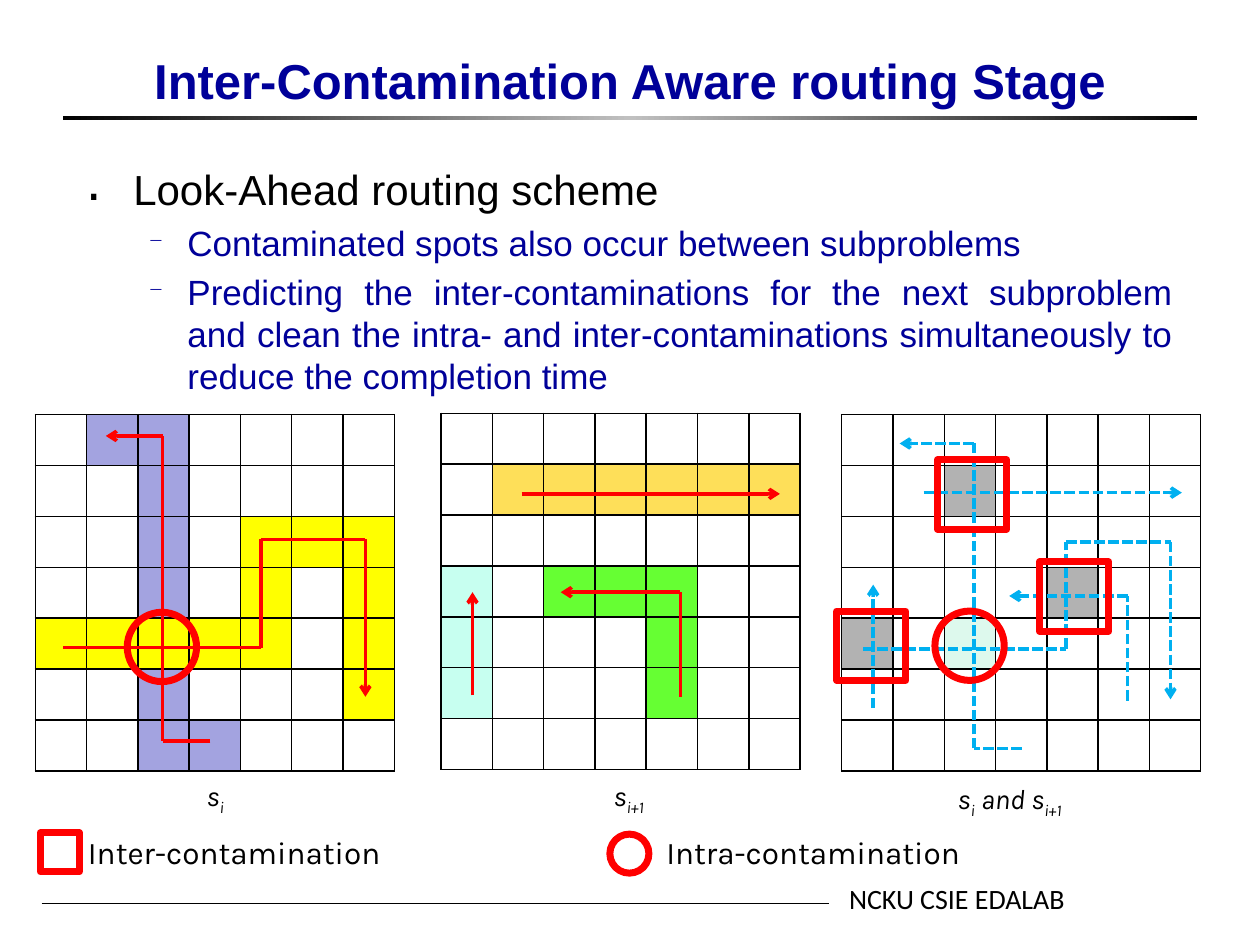
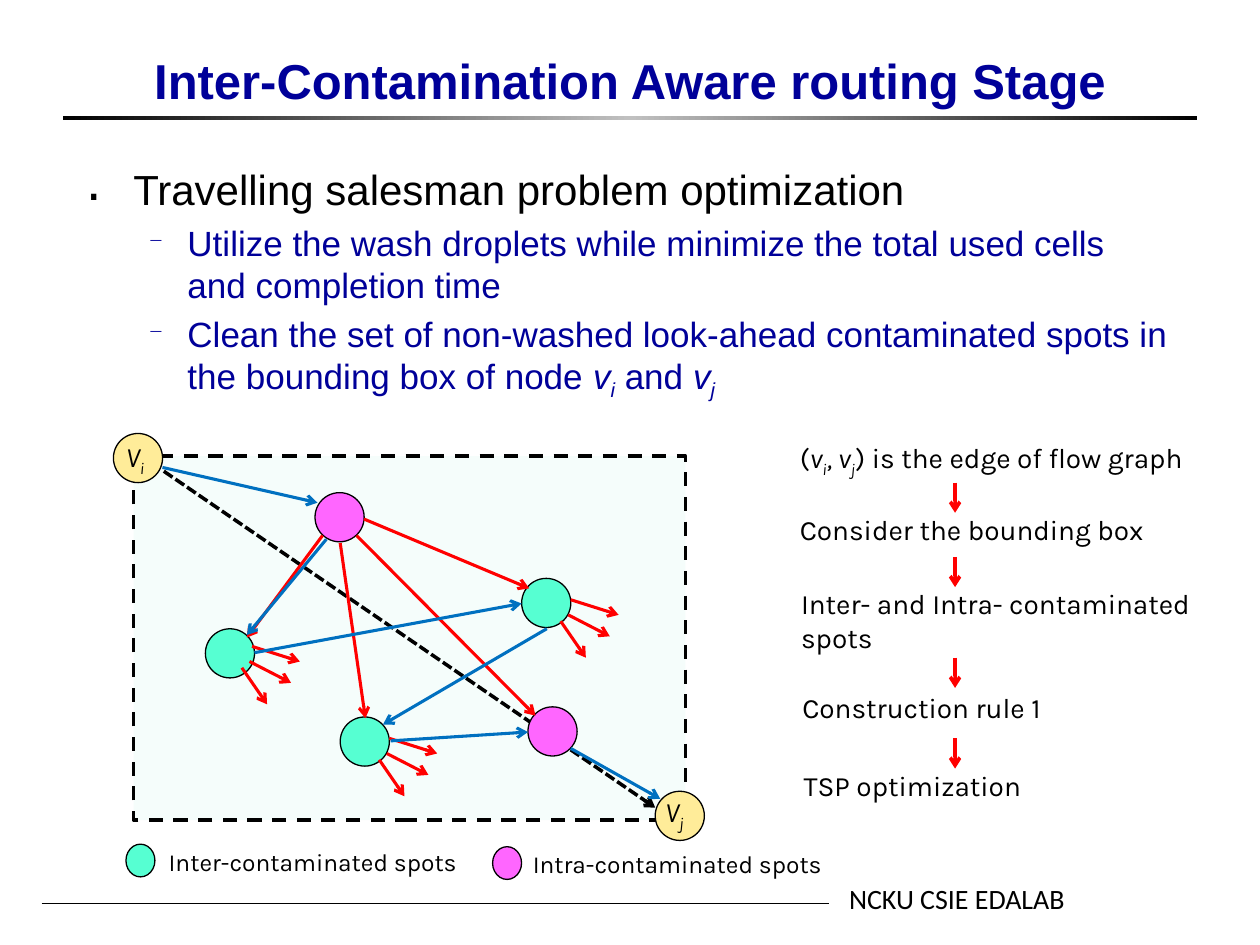
"""Builds two slides on inter-contamination aware droplet routing."""
from itertools import pairwise

from lxml.etree import SubElement
from pptx import Presentation
from pptx.dml.color import RGBColor
from pptx.enum.dml import MSO_LINE
from pptx.enum.shapes import MSO_CONNECTOR, MSO_SHAPE
from pptx.enum.text import MSO_ANCHOR, PP_ALIGN
from pptx.oxml import parse_xml
from pptx.oxml.ns import nsdecls, qn
from pptx.util import Inches, Pt

BLACK, NAVY, RED, CYAN, BLUE = "000000", "000099", "FF0000", "00B0F0", "0070C0"
GREEN, PINK, CREAM, BOX = "56FFD2", "FF66FF", "FFEC99", "00E4A8"
RECT, OVAL = MSO_SHAPE.RECTANGLE, MSO_SHAPE.OVAL
DASH, SHORT_DASH = MSO_LINE.DASH, MSO_LINE.SQUARE_DOT

TITLE = "Inter-Contamination Aware routing Stage"
FOOTER = "NCKU CSIE EDALAB"
ITALIC, SUB = "italic", "subscript"

LOOK_AHEAD = [
    "Look-Ahead routing scheme",
    "Contaminated spots also occur between subproblems",
    "Predicting the inter-contaminations for the next subproblem and clean the "
    "intra- and inter-contaminations simultaneously to reduce the completion time",
]
SALESMAN = [
    "Travelling salesman problem optimization",
    "Utilize the wash droplets while minimize the total used cells and completion time",
    [("Clean the set of non-washed look-ahead contaminated spots in the bounding box of node ", ""),
     ("v", ITALIC), ("i", SUB), (" and ", ""), ("v", ITALIC), ("j", SUB)],
]

CELL_COLORS = {".": "FFFFFF", "V": "A3A3E0", "Y": "FFFF00", "O": "FEDF59",
               "A": "C7FFF0", "G": "66FF33", "S": "B2B2B2", "M": "DDF9ED"}
GRID_WIDTH, GRID_HEIGHT = 2.85, 2.83
GRIDS = [
    (0.28, 3.29, ".VV.... ..V.... ..V.YYY ..V.Y.Y YYYYY.Y ..V...Y ..VV..."),
    (3.5, 3.28, "....... .OOOOOO ....... A.GGG.. A...G.. A...G.. ......."),
    (6.68, 3.29, "....... ..S.... ....... ....S.. S.M.... ....... ......."),
]
ROUTES = [
    (RED, None, [
        [(0.5, 5.14), (2.07, 5.14), (2.07, 4.28), (2.9, 4.28), (2.9, 5.53)],
        [(1.67, 5.88), (1.29, 5.88), (1.29, 3.46), (0.84, 3.46)],
        [(5.4, 5.53), (5.4, 4.7), (4.45, 4.7)],
        [(4.14, 3.92), (6.19, 3.92)],
        [(3.75, 5.52), (3.75, 4.7)],
    ]),
    (CYAN, SHORT_DASH, [
        [(7.33, 3.91), (9.38, 3.91)],
        [(6.93, 5.62), (6.93, 4.64)],
        [(8.95, 5.56), (8.95, 4.73), (8.01, 4.73)],
        [(6.85, 5.15), (8.46, 5.15), (8.46, 4.3), (9.29, 4.3), (9.29, 5.55)],
        [(8.11, 5.94), (7.73, 5.94), (7.73, 3.52), (7.14, 3.52)],
    ]),
]
MARKERS = [
    (RECT, 7.44, 3.65, 0.55), (RECT, 8.25, 4.46, 0.55), (RECT, 6.64, 4.85, 0.55),
    (OVAL, 7.42, 4.85, 0.55), (OVAL, 1.01, 4.86, 0.55),
    (RECT, 0.32, 6.61, 0.31), (OVAL, 4.84, 6.62, 0.31),
]
GRID_LABELS = [
    (0.6, 6.56, 3.83, 0.4, 18, "Inter-contamination"),
    (5.19, 6.56, 4.8, 0.4, 18, "Intra-contamination"),
    (1.54, 6.13, 0.47, 0.37, 16, [("s", ITALIC), ("i", SUB)]),
    (4.77, 6.13, 0.86, 0.37, 16, [("s", ITALIC), ("i+1", SUB)]),
    (7.5, 6.15, 1.25, 0.37, 16,
     [("s", ITALIC), ("i", SUB), (" and s", ITALIC), ("i+1", SUB)]),
]

NODE_SIZE = 0.39
END_NODES = [(0.9, 3.44), (5.2, 6.28)]
SPOTS = [(2.5, 3.91, PINK), (2.7, 5.69, GREEN), (4.14, 4.59, GREEN),
         (1.63, 4.99, GREEN), (4.19, 5.61, PINK)]
LEGEND_SPOTS = [(1, 6.7, GREEN), (3.91, 6.72, PINK)]
FAN_ORIGINS = [(1.61, 4.96), (4.14, 4.59), (2.7, 5.69)]
FAN = [((0.39, 0.17), (0.77, 0.29)), ((0.31, 0.34), (0.51, 0.63)), ((0.37, 0.29), (0.7, 0.46))]
CANDIDATE_EDGES = [
    ((2.89, 4.12), (4.2, 4.67)), ((2.83, 4.25), (4.25, 5.68)),
    ((2.7, 4.31), (2.9, 5.7)), ((2.56, 4.25), (1.96, 5.06)),
]
TOUR_EDGES = [
    ((1.29, 3.71), (2.52, 3.99)), ((2.59, 4.28), (1.96, 5.04)),
    ((2.02, 5.18), (4.14, 4.79)), ((4.34, 4.99), (3.04, 5.75)),
    ((3.1, 5.88), (4.19, 5.81)), ((4.53, 5.94), (5.24, 6.34)),
]
FLOW_STEPS = [
    (6.25, 3.45, 3.36, 0.37, 16,
     [("(", ""), ("v", ITALIC), ("i", SUB), (", v", ITALIC), ("j", SUB),
      (") is the edge of flow graph", "")]),
    (6.25, 4.02, 3.36, 0.37, 16, "Consider the bounding box"),
    (6.26, 4.61, 3.74, 0.64, 16, "Inter- and Intra- contaminated spots"),
    (6.27, 5.43, 3.36, 0.37, 16, "Construction rule 1"),
    (6.28, 6.05, 3.36, 0.37, 16, "TSP optimization"),
]
FLOW_ARROW_TOPS = [3.83, 4.42, 5.22, 5.86]
GRAPH_LABELS = [
    (0.9, 3.44, 0.47, 0.37, 16, [("V", ITALIC), ("i", SUB)]),
    (5.18, 6.26, 0.47, 0.37, 16, [("V", ITALIC), ("j", SUB)]),
    (1.24, 6.67, 2.58, 0.34, 14, "Inter-contaminated spots"),
    (4.13, 6.69, 2.58, 0.34, 14, "Intra-contaminated spots"),
]


def rgb(color):
    return RGBColor.from_string(color)


def add_runs(paragraph, content, size, color, font_name, bold=False):
    runs = [(content, "")] if isinstance(content, str) else content
    for text, style in runs:
        run = paragraph.add_run()
        run.text = text
        font = run.font
        font.size, font.name, font.bold = Pt(size), font_name, bold
        font.color.rgb = rgb(color)
        font.italic = style in (ITALIC, SUB)
        if style == SUB:
            font._element.set("baseline", "-25000")


def add_frame(slide, left, top, width, height):
    box = slide.shapes.add_textbox(Inches(left), Inches(top), Inches(width), Inches(height))
    box.text_frame.word_wrap = True
    return box.text_frame


def add_label(slide, left, top, width, height, size, content, font_name="Karla"):
    frame = add_frame(slide, left, top, width, height)
    add_runs(frame.paragraphs[0], content, size, BLACK, font_name)


def add_figure(slide, kind, left, top, width, height, fill=None, line=None, weight=0.75):
    shape = slide.shapes.add_shape(kind, Inches(left), Inches(top), Inches(width), Inches(height))
    shape.shadow.inherit = False
    if fill:
        shape.fill.solid()
        shape.fill.fore_color.rgb = rgb(fill)
    else:
        shape.fill.background()
    if line:
        shape.line.color.rgb = rgb(line)
        shape.line.width = Pt(weight)
    else:
        shape.line.fill.background()
    return shape


def add_line(slide, start, end, color, weight, dash=None, arrow=True):
    line = slide.shapes.add_connector(
        MSO_CONNECTOR.STRAIGHT, *(Inches(value) for value in (*start, *end)))
    line.line.color.rgb = rgb(color)
    line.line.width = Pt(weight)
    if dash:
        line.line.dash_style = dash
    if arrow:
        SubElement(line.line._get_or_add_ln(), qn("a:tailEnd"), type="arrow")
    SubElement(line._element.spPr, qn("a:effectLst"))


def add_route(slide, points, color, dash):
    segments = list(pairwise(points))
    for number, (start, end) in enumerate(segments, 1):
        add_line(slide, start, end, color, 2, dash, arrow=number == len(segments))


def add_grid(slide, left, top, pattern):
    rows = pattern.split()
    frame = slide.shapes.add_table(len(rows), len(rows[0]), Inches(left), Inches(top),
                                   Inches(GRID_WIDTH), Inches(GRID_HEIGHT))
    table = frame.table
    table.first_row = table.horz_banding = False
    for column in table.columns:
        column.width = Inches(GRID_WIDTH / len(rows[0]))
    for row, codes in zip(table.rows, rows):
        row.height = Inches(GRID_HEIGHT / len(rows))
        for cell, code in zip(row.cells, codes):
            cell.margin_top = cell.margin_bottom = 0
            properties = cell._tc.get_or_add_tcPr()
            for side in "LRTB":
                border = SubElement(properties, qn(f"a:ln{side}"), w=str(Pt(1)))
                solid = SubElement(border, qn("a:solidFill"))
                SubElement(solid, qn("a:srgbClr"), val=BLACK)
            cell.fill.solid()
            cell.fill.fore_color.rgb = rgb(CELL_COLORS[code])


def add_rule(slide):
    rule = add_figure(slide, RECT, 0.5, 0.92, 9, 0.03)
    stops = "".join(f'<a:gs pos="{position}"><a:srgbClr val="{color}"/></a:gs>'
                    for position, color in ((0, BLACK), (50000, "C0C0C0"), (100000, BLACK)))
    gradient = parse_xml(f'<a:gradFill {nsdecls("a")}><a:gsLst>{stops}</a:gsLst>'
                         '<a:lin ang="0" scaled="1"/></a:gradFill>')
    properties = rule._element.spPr
    properties.replace(properties.find(qn("a:noFill")), gradient)


def add_body(slide, items, height, alignment):
    frame = add_frame(slide, 0.58, 1.25, 8.83, height)
    for number, content in enumerate(items):
        if number == 0:
            paragraph = frame.paragraphs[0]
            size, color, indent, hanging, bullet, scale = 24, BLACK, 0.38, 0.38, "․", 120
        else:
            paragraph = frame.add_paragraph()
            paragraph.level = 1
            size, color, indent, hanging, bullet, scale = 20, NAVY, 0.81, 0.31, "─", 55
        paragraph.alignment = alignment
        paragraph.space_before = Pt(size * 0.2)
        properties = paragraph._p.get_or_add_pPr()
        properties.set("marL", str(Inches(indent)))
        properties.set("indent", str(-Inches(hanging)))
        bullet_color = SubElement(properties, qn("a:buClr"))
        SubElement(bullet_color, qn("a:srgbClr"), val=color)
        SubElement(properties, qn("a:buSzPct"), val=str(scale * 1000))
        SubElement(properties, qn("a:buChar"), char=bullet)
        add_runs(paragraph, content, size, color, "Arial")


def start_slide(presentation, items, body_height, alignment):
    slide = presentation.slides.add_slide(presentation.slide_layouts[6])
    add_rule(slide)
    add_line(slide, (0.33, 7.17), (6.58, 7.17), BLACK, 0.5, arrow=False)
    add_label(slide, 6.64, 6.95, 2.19, 0.37, 16, FOOTER, "Calibri")
    frame = add_frame(slide, 0.75, 0, 8.5, 0.92)
    frame.vertical_anchor = MSO_ANCHOR.BOTTOM
    frame.paragraphs[0].alignment = PP_ALIGN.CENTER
    add_runs(frame.paragraphs[0], TITLE, 28, NAVY, "Arial", bold=True)
    add_body(slide, items, body_height, alignment)
    return slide


def build_look_ahead(presentation):
    slide = start_slide(presentation, LOOK_AHEAD, 5.42, PP_ALIGN.JUSTIFY)
    for grid in GRIDS:
        add_grid(slide, *grid)
    for color, dash, routes in ROUTES:
        for points in routes:
            add_route(slide, points, color, dash)
    for kind, left, top, size in MARKERS:
        add_figure(slide, kind, left, top, size, size, line=RED, weight=4)
    for label in GRID_LABELS:
        add_label(slide, *label)


def build_salesman(presentation):
    slide = start_slide(presentation, SALESMAN, 2.03, PP_ALIGN.LEFT)
    box = add_figure(slide, RECT, 1.06, 3.62, 4.38, 2.89, BOX, BLACK, 2)
    box.line.dash_style = DASH
    fill_color = box._element.spPr.find(qn("a:solidFill")).find(qn("a:srgbClr"))
    SubElement(fill_color, qn("a:alpha"), val="4000")
    add_line(slide, (1.3, 3.74), (5.2, 6.41), BLACK, 2, SHORT_DASH)
    for left, top, color in [(*place, CREAM) for place in END_NODES] + SPOTS:
        add_figure(slide, OVAL, left, top, NODE_SIZE, NODE_SIZE, color, BLACK)
    for left, top, color in LEGEND_SPOTS:
        add_figure(slide, OVAL, left, top, 0.23, 0.26, color, BLACK)
    fans = [((x + start[0], y + start[1]), (x + end[0], y + end[1]))
            for x, y in FAN_ORIGINS for start, end in FAN]
    for color, edges in ((RED, fans + CANDIDATE_EDGES), (BLUE, TOUR_EDGES)):
        for start, end in edges:
            add_line(slide, start, end, color, 1.75)
    for top in FLOW_ARROW_TOPS:
        add_line(slide, (7.58, top), (7.58, top + 0.24), RED, 2)
    for label in FLOW_STEPS + GRAPH_LABELS:
        add_label(slide, *label)


def main():
    presentation = Presentation()
    presentation.slide_width, presentation.slide_height = Inches(10), Inches(7.5)
    build_look_ahead(presentation)
    build_salesman(presentation)
    presentation.save("out.pptx")


if __name__ == "__main__":
    main()
